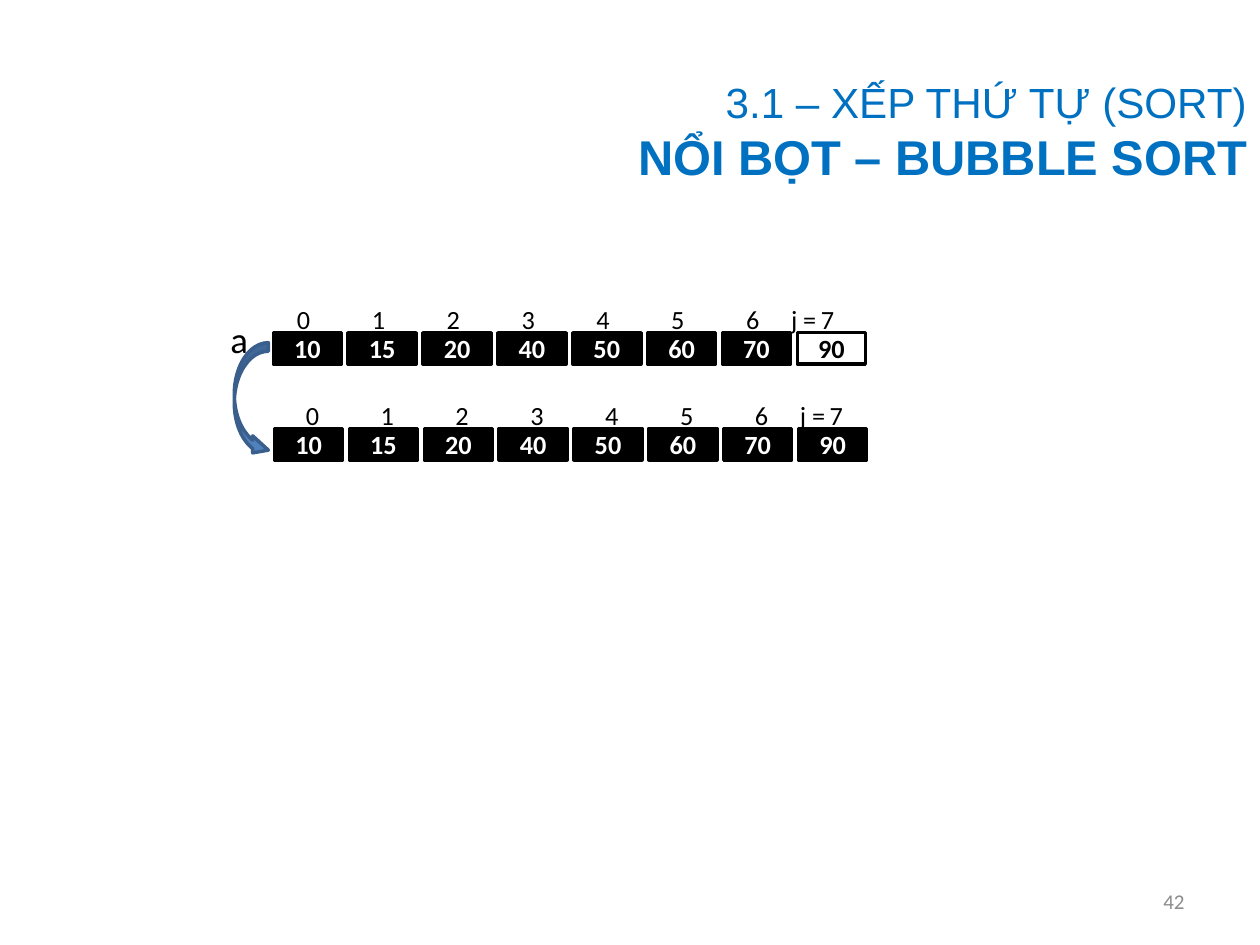
import pptx
import pptx.util
import pptx.dml.color
import pptx.enum.shapes
import pptx.enum.text

Inches = pptx.util.Inches
Pt = pptx.util.Pt
MSO_SHAPE = pptx.enum.shapes.MSO_SHAPE
PP_ALIGN = pptx.enum.text.PP_ALIGN

COLORS = {
    "black": "000000",
    "white": "FFFFFF",
    "title": "0070C0",
    "arrow": "4F81BD",
    "arrow_line": "3A5F8C",
    "number": "8C8C8C",
}
CELL_WIDTH, CELL_HEIGHT, CELL_STEP = 0.54, 0.25, 0.594
VALUES = [10, 15, 20, 40, 50, 60, 70, 90]


def rgb(name):
    return pptx.dml.color.RGBColor.from_string(COLORS[name])


def write_text(shape, lines, color, align=PP_ALIGN.CENTER):
    """Fill a shape with lines of (text, size, font name, bold)."""
    frame = shape.text_frame
    frame.word_wrap = True
    frame.auto_size = pptx.enum.text.MSO_AUTO_SIZE.NONE
    frame.vertical_anchor = pptx.enum.text.MSO_ANCHOR.MIDDLE
    frame.margin_top = frame.margin_bottom = 0
    frame.text = "\n".join(line[0] for line in lines)
    for paragraph, (_, size, font_name, bold) in zip(frame.paragraphs, lines):
        paragraph.alignment = align
        paragraph.space_before = Pt(0)
        paragraph.font.size = Pt(size)
        paragraph.font.name = font_name
        paragraph.font.bold = bold
        paragraph.font.color.rgb = rgb(color)


presentation = pptx.Presentation()
presentation.slide_width = Inches(10)
presentation.slide_height = Inches(7.5)
slide = presentation.slides.add_slide(presentation.slide_layouts[5])
shapes = slide.shapes

title = shapes.title
title.left, title.top = Inches(0), Inches(0.5)
title.width, title.height = Inches(10), Inches(1.08)
write_text(
    title,
    [("3.1 – XẾP THỨ TỰ (SORT)", 24.1, "Arial", False),
     ("NỔI BỌT – BUBBLE SORT", 27.9, "Arial", True)],
    "title", PP_ALIGN.RIGHT)

# Array before and after the last pass: index left and top, cell left and top, sorted cells
for index_left, index_top, cell_left, cell_top, sorted_count in [
    (2.14, 2.41, 2.17, 2.64, 7),
    (2.21, 3.17, 2.18, 3.4, 8),
]:
    for index, value in enumerate(VALUES):
        offset = index * CELL_STEP
        label = shapes.add_textbox(
            Inches(index_left + offset), Inches(index_top),
            Inches(CELL_WIDTH), Inches(CELL_HEIGHT))
        write_text(label, [(str(index), 15, "Calibri", False)], "black")

        cell = shapes.add_shape(
            MSO_SHAPE.RECTANGLE, Inches(cell_left + offset), Inches(cell_top),
            Inches(CELL_WIDTH), Inches(CELL_HEIGHT))
        cell.shadow.inherit = False
        cell.line.color.rgb = rgb("black")
        cell.line.width = Pt(2)
        if index < sorted_count:
            cell.fill.solid()
            cell.fill.fore_color.rgb = rgb("black")
        else:
            cell.fill.background()
        write_text(cell, [(str(value), 15, "Calibri", True)],
                   "white" if index < sorted_count else "black")

# Plain labels: text, left, top, width, height, size, color, alignment
for text, left, top, width, height, size, color, align in [
    ("j =", 6.18, 2.46, 0.48, 0.14, 15, "black", PP_ALIGN.LEFT),
    ("j =", 6.25, 3.22, 0.48, 0.14, 15, "black", PP_ALIGN.LEFT),
    ("a", 1.73, 2.5, 0.39, 0.38, 21, "black", PP_ALIGN.LEFT),
    ("42", 7.17, 6.95, 2.33, 0.4, 12, "number", PP_ALIGN.RIGHT),
]:
    label = shapes.add_textbox(Inches(left), Inches(top), Inches(width), Inches(height))
    write_text(label, [(text, size, "Calibri", False)], color, align)

arrow = shapes.add_shape(
    MSO_SHAPE.CURVED_RIGHT_ARROW, Inches(1.86), Inches(2.72), Inches(0.27), Inches(0.92))
arrow.shadow.inherit = False
arrow.adjustments[2] = 0.46
arrow.fill.solid()
arrow.fill.fore_color.rgb = rgb("arrow")
arrow.line.color.rgb = rgb("arrow_line")
arrow.line.width = Pt(2)

presentation.save("out.pptx")
